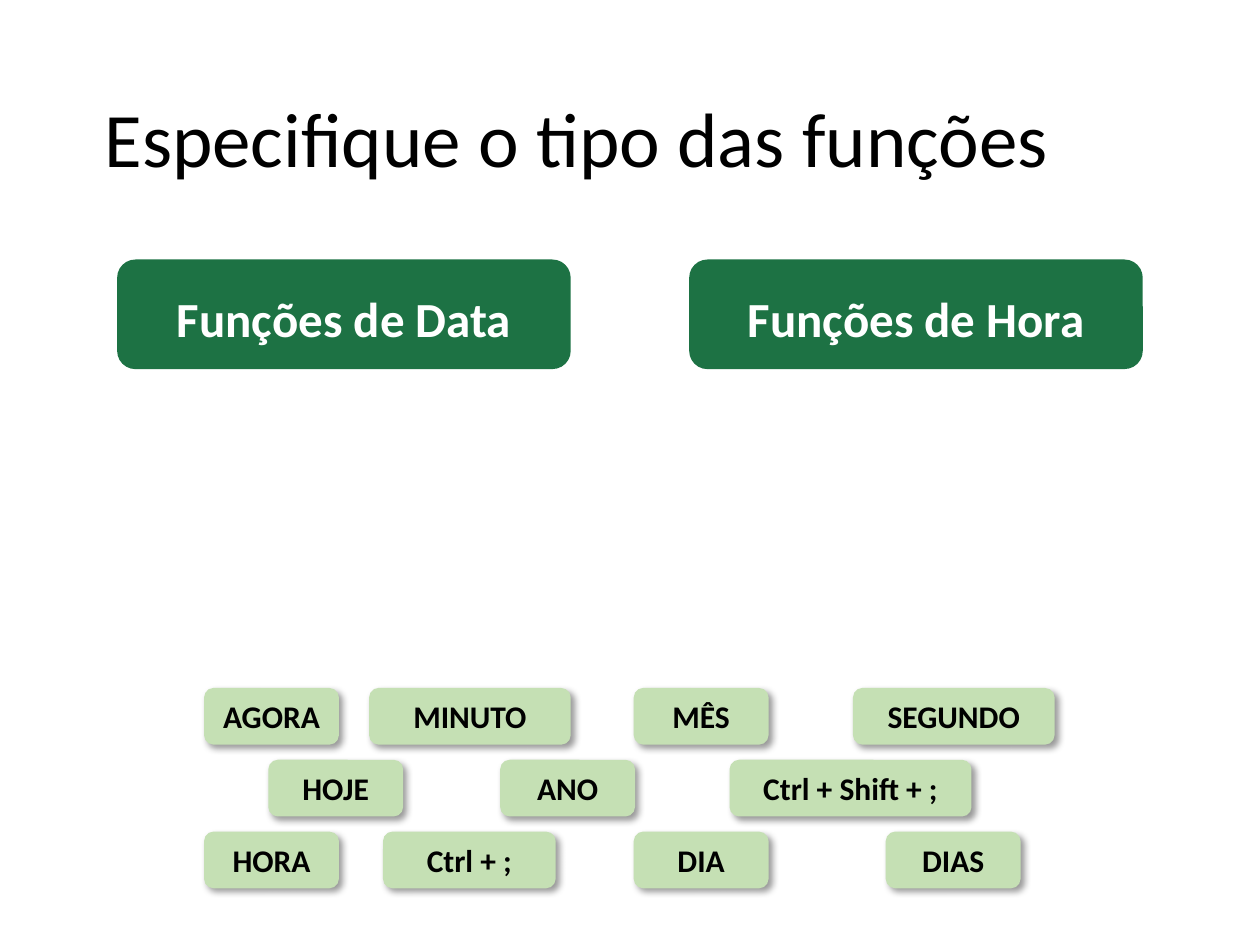
from lxml.etree import SubElement
from pptx import Presentation
from pptx.dml.color import RGBColor
from pptx.enum.shapes import MSO_SHAPE as SHAPE
from pptx.enum.text import MSO_ANCHOR as ANCHOR, MSO_AUTO_SIZE as AUTO, PP_ALIGN as ALIGN
from pptx.oxml.ns import qn
from pptx.util import Inches, Pt

BLACK = RGBColor(0x00, 0x00, 0x00)
WHITE = RGBColor(0xFF, 0xFF, 0xFF)
GREEN = RGBColor(0x1D, 0x72, 0x44)
LIGHT = RGBColor(0xC5, 0xE0, 0xB4)

HEADERS = [(9.3, "Funções de Data"), (54.7, "Funções de Hora")]
SHORT, LONG = 10.7, 16
CHIP_ROWS = [
    [(16.2, SHORT, "AGORA"), (29.3, LONG, "MINUTO"),
     (50.3, SHORT, "MÊS"), (67.7, LONG, "SEGUNDO")],
    [(21.3, SHORT, "HOJE"), (39.7, SHORT, "ANO"), (57.9, 19.2, "Ctrl + Shift + ;")],
    [(16.2, SHORT, "HORA"), (30.4, 13.7, "Ctrl + ;"),
     (50.3, SHORT, "DIA"), (70.3, SHORT, "DIAS")],
]
CHIP_TOP, CHIP_PITCH = 54.6, 5.7


class Deck:
    font = "Calibri"
    cell = Inches(0.1)

    def __init__(self, prs):
        self.s = prs.slides.add_slide(prs.slide_layouts[5])

    def box(self, *grid):
        return [round(n * self.cell) for n in grid]

    def run(self, p, text, size, color, bold=False):
        r = p.add_run()
        r.text = text
        f = r.font
        f.name, f.size, f.bold = self.font, Pt(size), bold
        f.color.rgb = color

    def title(self, text, *grid):
        sp = self.s.shapes.title
        sp.left, sp.top, sp.width, sp.height = self.box(*grid)
        tf = sp.text_frame
        tf.vertical_anchor = ANCHOR.MIDDLE
        p = tf.paragraphs[0]
        p.alignment, p.line_spacing = ALIGN.LEFT, 0.9
        self.run(p, text, 44, BLACK)

    def card(self, text, grid, fill, size, color):
        sp = self.s.shapes.add_shape(SHAPE.ROUNDED_RECTANGLE, *self.box(*grid))
        sp.fill.solid()
        sp.fill.fore_color.rgb = fill
        sp.line.fill.background()
        sp.shadow.inherit = False
        tf = sp.text_frame
        tf.word_wrap = True
        tf.vertical_anchor = ANCHOR.TOP
        p = tf.paragraphs[0]
        p.alignment = ALIGN.CENTER
        self.run(p, text, size, color, True)
        return sp

    def header(self, text, *grid):
        sp = self.card(text, grid, GREEN, 28, WHITE)
        sp.text_frame.margin_top = Inches(0.19)

    def chip(self, text, *grid):
        sp = self.card(text, grid, LIGHT, 18, BLACK)
        sp.text_frame.auto_size = AUTO.SHAPE_TO_FIT_TEXT
        effects = sp.fill._xPr.find(qn("a:effectLst"))
        shadow = SubElement(effects, qn("a:outerShdw"), blurRad=str(Pt(4)),
                            dist=str(Pt(3)), dir="2700000", algn="tl", rotWithShape="0")
        color = SubElement(shadow, qn("a:srgbClr"), val=str(BLACK))
        SubElement(color, qn("a:alpha"), val="40000")


def main():
    prs = Presentation()
    prs.slide_width, prs.slide_height = Inches(10), Inches(7.5)
    deck = Deck(prs)
    for col, text in HEADERS:
        deck.header(text, col, 20.6, 36, 8.7)
    deck.title("Especifique o tipo das funções", 7.3, 4.5, 90.4, 13.6)
    for i, chips in enumerate(CHIP_ROWS):
        for col, width, text in chips:
            deck.chip(text, col, CHIP_TOP + i * CHIP_PITCH, width, 4.5)
    prs.save("out.pptx")


if __name__ == "__main__":
    main()
